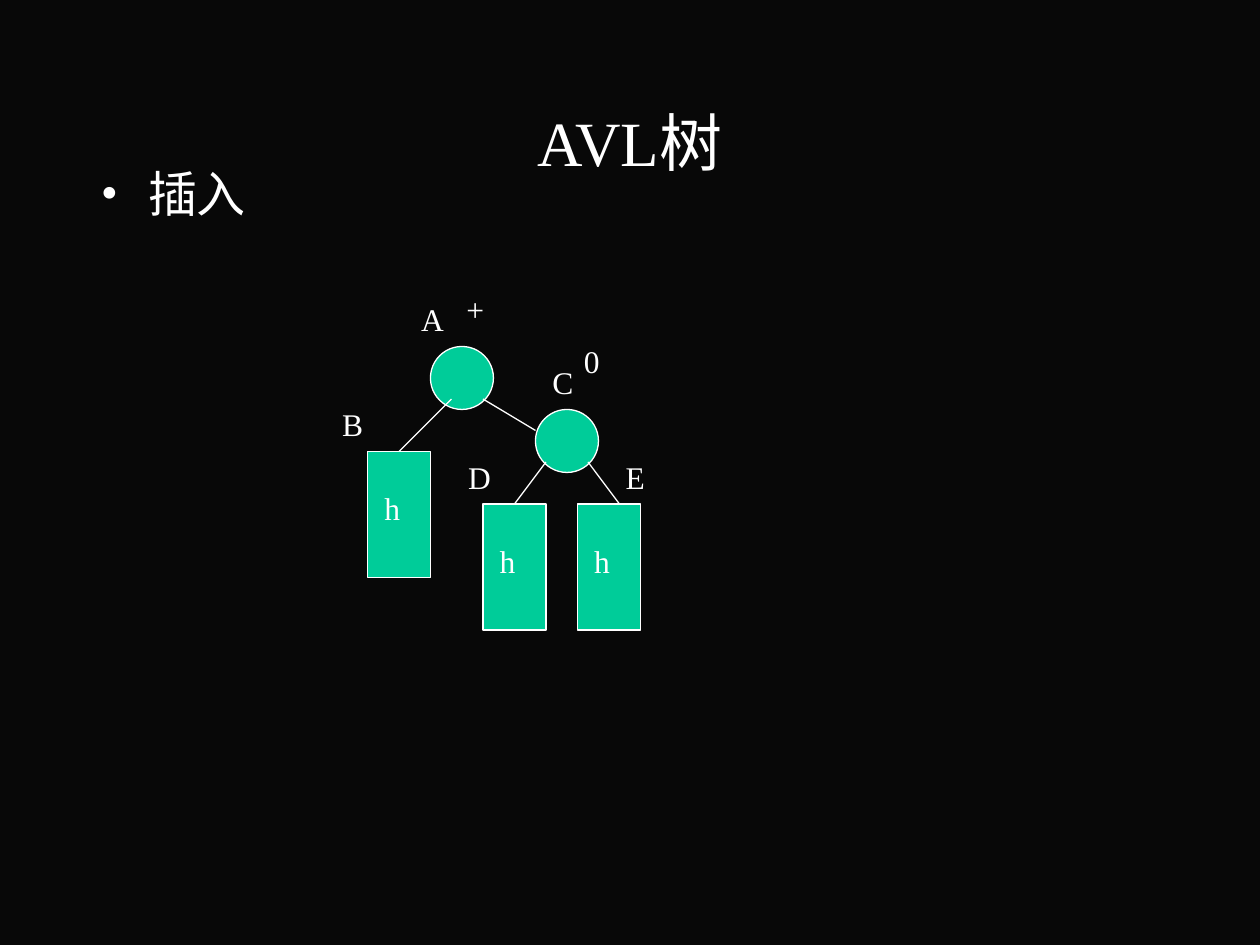
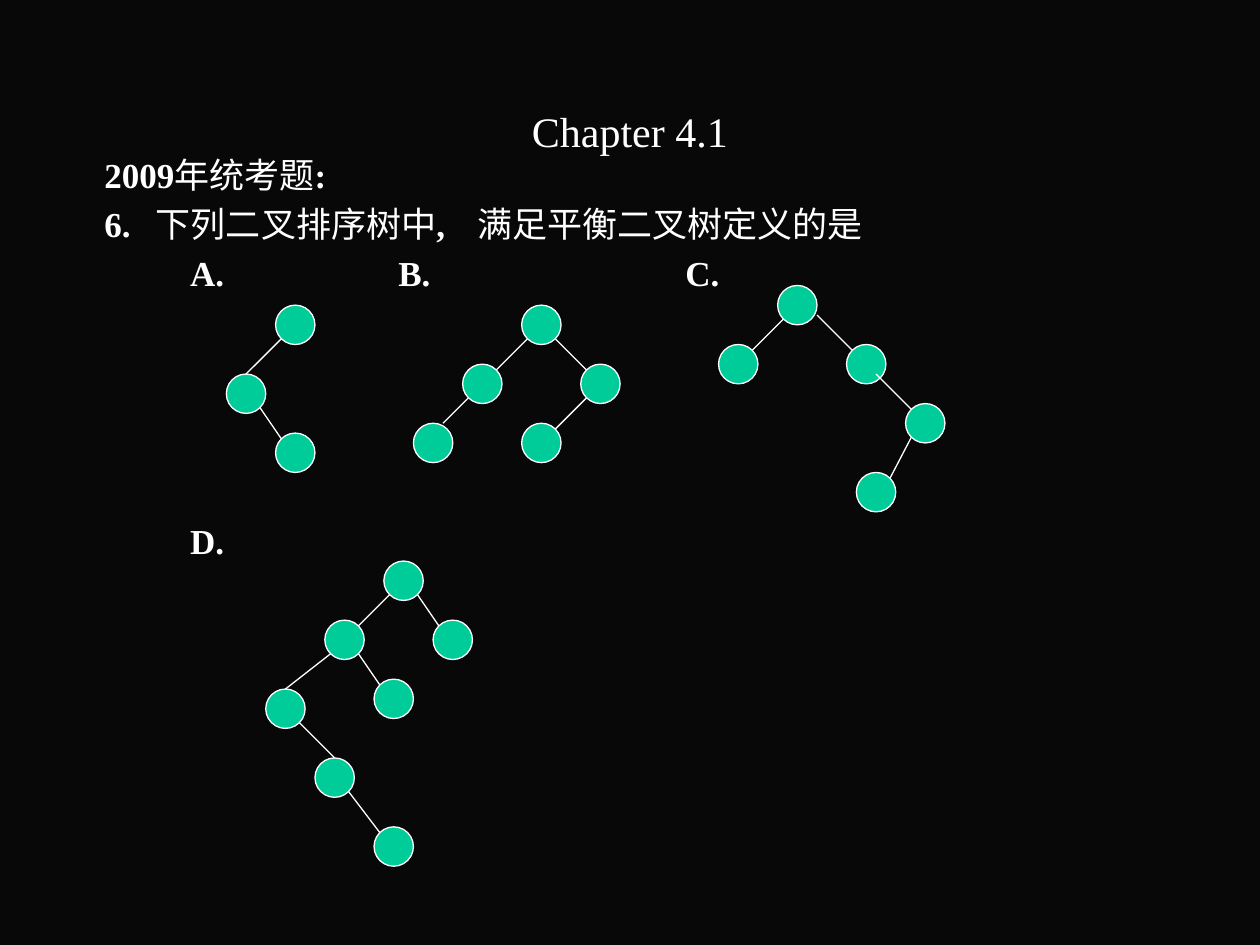
from lxml.etree import SubElement
from pptx import Presentation
from pptx.dml.color import RGBColor
from pptx.enum.shapes import MSO_CONNECTOR as Link, MSO_SHAPE as Shape
from pptx.enum.text import MSO_ANCHOR as Anchor, PP_ALIGN as Align
from pptx.oxml.ns import qn
from pptx.util import Pt

LATIN = "Times New Roman"
HAN = "Noto Sans CJK SC"
BACKGROUND, WHITE, GREEN = "080808", "FFFFFF", "00CC99"
NODE = 22.5
STEP = NODE / 4
DIAGONAL = 2 ** 0.5
TOP = (0, -2)


def color(value):
    """Turn a hex string into a colour."""
    return RGBColor.from_string(value)


class Painter:
    """Holds the deck's style and draws on the current page."""

    def __init__(self):
        """Start a deck of 10 by 7.5 inch pages."""
        self.deck = Presentation()
        self.deck.slide_width, self.deck.slide_height = Pt(720), Pt(540)
        self.page = None

    def new_page(self):
        """Add a blank dark page."""
        self.page = self.deck.slides.add_slide(self.deck.slide_layouts[6])
        fill = self.page.background.fill
        fill.solid()
        fill.fore_color.rgb = color(BACKGROUND)

    def frame(self, left, top, width, height, anchor=Anchor.TOP):
        """Add a wrapping text box and return its text frame."""
        box = self.page.shapes.add_textbox(Pt(left), Pt(top), Pt(width), Pt(height))
        frame = box.text_frame
        frame.word_wrap = True
        frame.vertical_anchor = anchor
        frame.margin_left = frame.margin_right = Pt(3.6)
        frame.margin_top = frame.margin_bottom = Pt(3.6)
        return frame

    def spans(self, para, texts, size, bold=False):
        """Add runs, Latin text in one font and Chinese in the other."""
        for text in texts:
            han = any("\u4e00" <= letter <= "\u9fff" for letter in text)
            span = para.add_run()
            span.text = text
            font = span.font
            font.size, font.bold = Pt(size), bold and not han
            font.color.rgb = color(WHITE)
            font.name = HAN if han else LATIN
            SubElement(font._element, qn("a:ea"), typeface=font.name)

    def title(self, texts, size, height):
        """Add the centred page title."""
        para = self.frame(54, 48, 612, height, Anchor.MIDDLE).paragraphs[0]
        para.alignment = Align.CENTER
        self.spans(para, texts, size)

    def bullet(self, text, left, top, width, height):
        """Add a body box with one bulleted line."""
        para = self.frame(left, top, width, height).paragraphs[0]
        properties = para._p.get_or_add_pPr()
        properties.set("marL", str(Pt(27)))
        properties.set("indent", str(Pt(-27)))
        SubElement(properties, qn("a:buFont"), typeface=LATIN)
        SubElement(properties, qn("a:buChar"), char="•")
        self.spans(para, [text], 28)

    def question(self, lines, left, top, width, height):
        """Add bold lines, each as (space before, tab stops, texts)."""
        frame = self.frame(left, top, width, height)
        for index, (space, stops, texts) in enumerate(lines):
            para = frame.add_paragraph() if index else frame.paragraphs[0]
            if stops:
                tabs = SubElement(para._p.get_or_add_pPr(), qn("a:tabLst"))
                for stop in stops:
                    SubElement(tabs, qn("a:tab"), pos=str(Pt(stop)), algn="l")
            para.space_before = Pt(space)
            self.spans(para, texts, 20, bold=True)

    def label(self, text, left, top):
        """Add a short label."""
        self.spans(self.frame(left, top, 22, 27).paragraphs[0], [text], 18)

    def shape(self, kind, left, top, width, height):
        """Add a green shape with a thin white outline."""
        shape = self.page.shapes.add_shape(kind, Pt(left), Pt(top), Pt(width), Pt(height))
        shape.shadow.inherit = False
        shape.fill.solid()
        shape.fill.fore_color.rgb = color(GREEN)
        shape.line.color.rgb = color(WHITE)
        shape.line.width = Pt(0.75)
        return shape

    def line(self, start, end, box=None):
        """Add a white line, joined to the top of a box if one is given."""
        points = [Pt(value) for value in (*start, *end)]
        line = self.page.shapes.add_connector(Link.STRAIGHT, *points)
        line.line.color.rgb = color(WHITE)
        line.line.width = Pt(0.75)
        SubElement(line._element.spPr, qn("a:effectLst"))
        if box is not None:
            line.end_connect(box, 0)

    def tree(self, left, top, nodes, branches):
        """Draw a tree, with nodes and branch ends in quarter-node steps."""
        for column, row in nodes:
            self.shape(Shape.OVAL, left + column * STEP, top + row * STEP, NODE, NODE)

        def point(node, offset):
            """Place an offset from a node's centre."""
            return (left + (node[0] + 2 + offset[0]) * STEP,
                    top + (node[1] + 2 + offset[1]) * STEP)

        for parent, child, start, end in branches:
            upper, lower = nodes[parent], nodes[child]
            side = DIAGONAL if lower[0] > upper[0] else -DIAGONAL
            self.line(point(upper, start or (side, DIAGONAL)),
                      point(lower, end or (-side, -DIAGONAL)))


def insertion_page(painter):
    """Draw the AVL tree before an insertion."""
    painter.new_page()
    painter.title(["AVL", "树"], 36, 66)
    painter.bullet("插入", 54, 90, 612, 408)
    for left, top in ((306, 234), (246, 198)):
        painter.shape(Shape.OVAL, left, top, 36, 36)
    subtrees = []
    for left, top in ((210, 258), (276, 288), (330, 288)):
        subtrees.append(painter.shape(Shape.RECTANGLE, left, top, 36, 72))
        painter.label("h", left + 6, top + 18)
    painter.line((258, 228), (228, 258), subtrees[0])
    painter.line((312, 264), (294, 288), subtrees[1])
    painter.line((336, 264), (354, 288))
    painter.line((276, 228), (306, 246))
    for text, left, top in (("A", 237, 168), ("+", 263, 162), ("B", 192, 228),
                            ("C", 312, 204), ("0", 330, 192),
                            ("D", 264, 258), ("E", 354, 258)):
        painter.label(text, left, top)


def question_page(painter):
    """Draw the exam question with its four candidate trees."""
    painter.new_page()
    painter.title(["Chapter 4.1"], 24, 53)
    painter.tree(157.5, 174.38, [(0, 0), (-5, 7), (0, 13)],
                 [(0, 1, None, TOP), (1, 2, None, None)])
    painter.tree(298.13, 174.38, [(0, 0), (-6, 6), (6, 6), (-11, 12), (0, 12)],
                 [(0, 1, None, None), (0, 2, None, None),
                  (1, 3, None, (1, -2)), (2, 4, None, None)])
    painter.tree(444.38, 163.13, [(0, 0), (-6, 6), (7, 6), (13, 12), (8, 19)],
                 [(0, 1, None, None), (0, 2, (2, 1), None),
                  (2, 3, (1, 1), None), (3, 4, None, None)])
    painter.question([
        (0, (), ["2009", "年统考题", ":"]),
        (4, (29.5, 213), ["6.\t", "下列二叉排序树中", ",\t", "满足平衡二叉树定义的是"]),
        (4, (49, 168, 332), ["\tA.\tB.\tC."]),
        (129.5, (49,), ["\tD."]),
    ], 56, 84, 612, 428)
    painter.tree(219.38, 320.63,
                 [(0, 0), (-6, 6), (5, 6), (-12, 13), (-1, 12), (-7, 20), (-1, 27)],
                 [(0, 1, None, None), (0, 2, None, None), (1, 3, None, TOP),
                  (1, 4, None, None), (3, 5, None, TOP), (5, 6, None, None)])


def main():
    """Build and save the deck."""
    painter = Painter()
    insertion_page(painter)
    question_page(painter)
    painter.deck.save("out.pptx")


if __name__ == "__main__":
    main()
